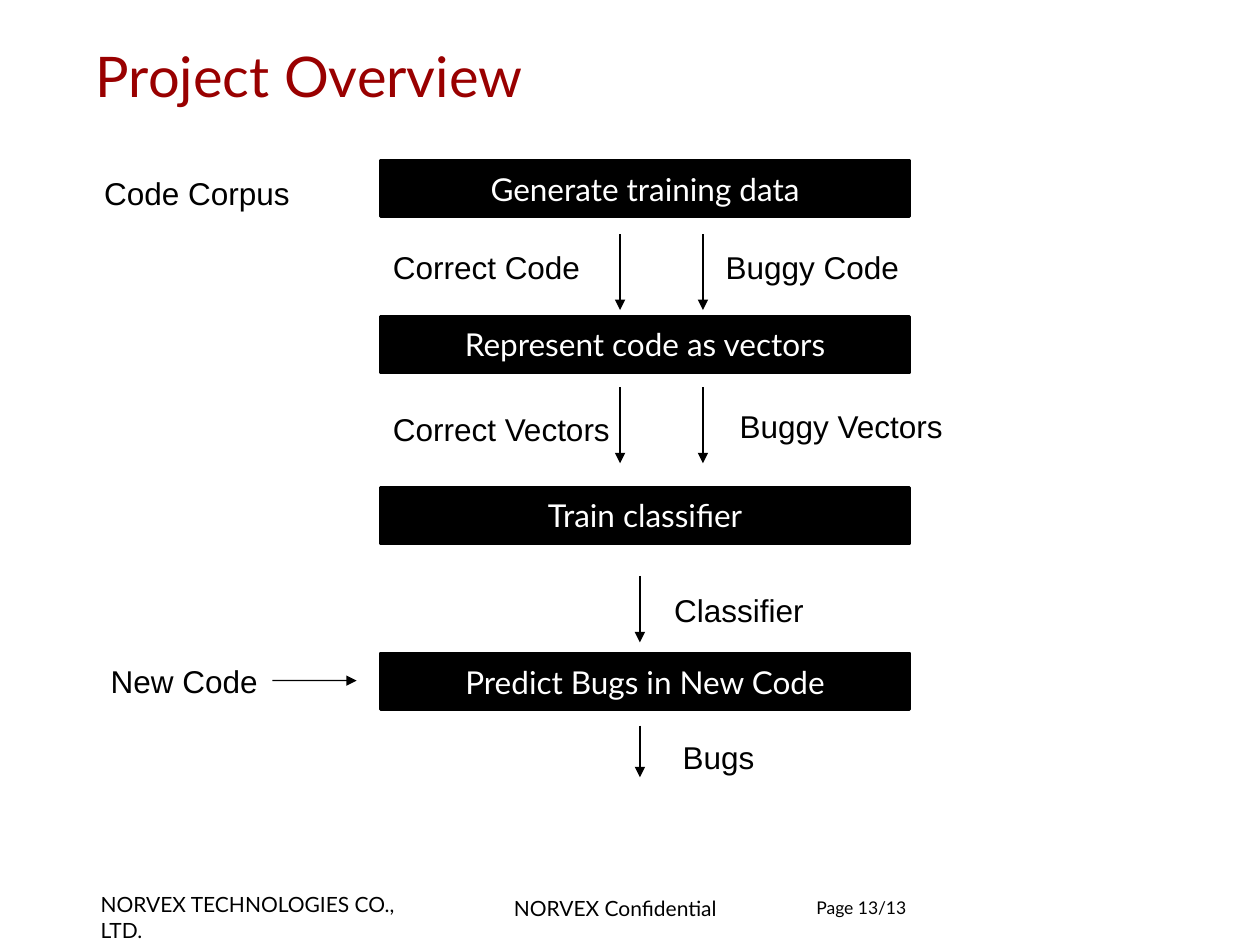
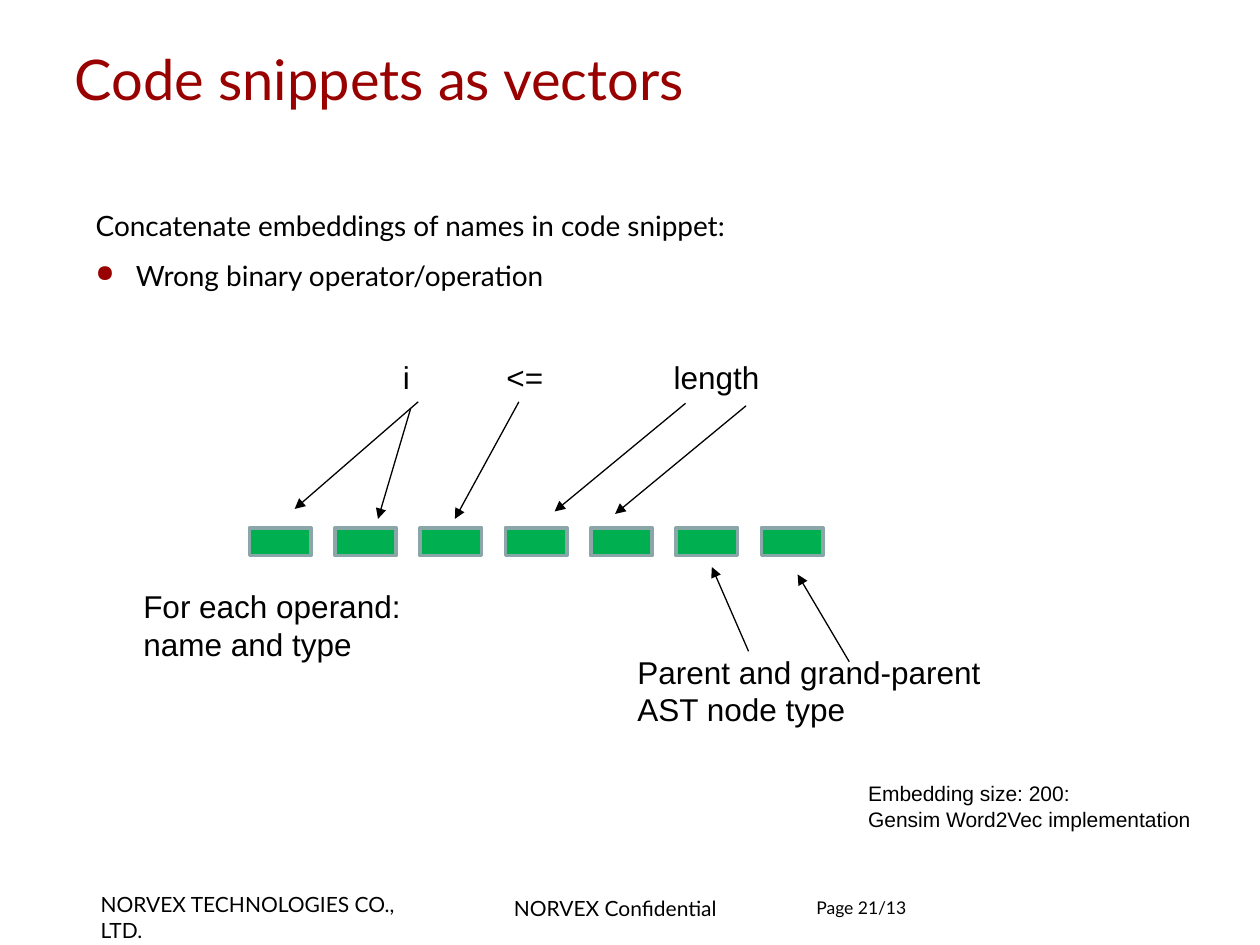
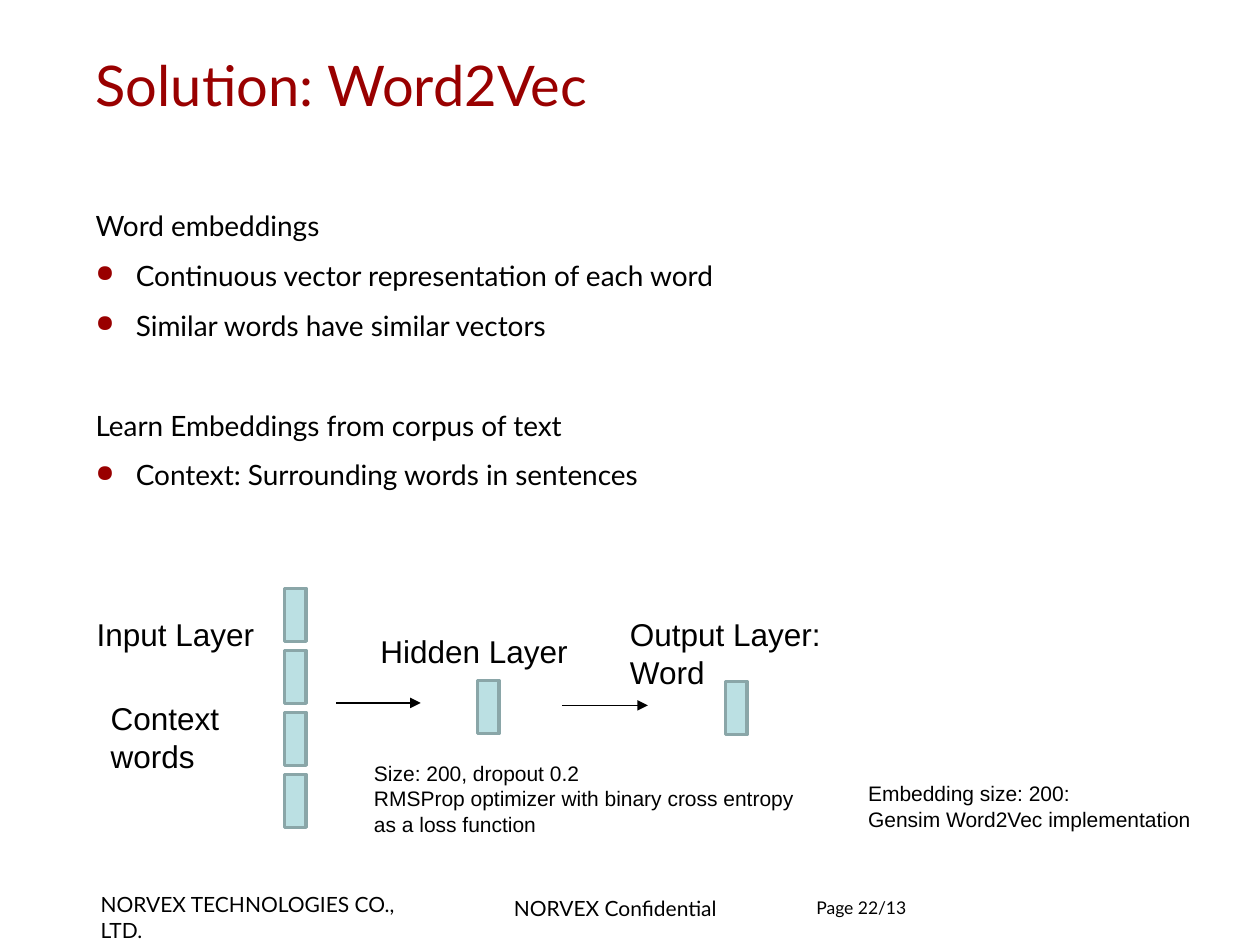
"""Builds three slides on finding bugs with code embeddings."""
from dataclasses import dataclass

from lxml.etree import SubElement
from pptx import Presentation
from pptx.dml.color import RGBColor
from pptx.enum.shapes import MSO_CONNECTOR as Connector, MSO_SHAPE as Preset
from pptx.enum.text import MSO_ANCHOR as Anchor, MSO_AUTO_SIZE as AutoSize, PP_ALIGN as Align
from pptx.oxml.ns import qn
from pptx.util import Cm, Pt

BLACK = RGBColor(0x00, 0x00, 0x00)
WHITE = RGBColor(0xFF, 0xFF, 0xFF)
DARK_RED = RGBColor(0x99, 0x00, 0x00)
GREEN = RGBColor(0x00, 0xB0, 0x50)
PALE_BLUE = RGBColor(0xBB, 0xE0, 0xE3)
GREY_BLUE = RGBColor(0x8A, 0xA6, 0xA8)
HEAD_FONT, LABEL_FONT = "Lato", "Arial"
BODY_SPACE = 3.2
BODY_PITCH = 28.5


@dataclass
class Label:
    """Free text, placed in centimetres."""
    text: str
    left: float
    top: float
    width: float
    size: int = 18


@dataclass
class Arrow:
    """Straight arrow, from start to end in centimetres."""
    x1: float
    y1: float
    x2: float
    y2: float


@dataclass
class Box:
    """Filled rectangle in centimetres, with optional text."""
    left: float
    top: float
    width: float
    height: float
    fill: RGBColor
    line: RGBColor
    text: str = ""


@dataclass
class BodyLine:
    """Line of body text."""
    text: str
    bullet: bool = True
    gap: bool = False


EMBEDDING_NOTE = Label("Embedding size: 200:\nGensim Word2Vec implementation", 17.25, 15.62, 7.06, 12)


def style(paragraph, size: int, color: RGBColor = BLACK, name: str = HEAD_FONT) -> None:
    """Set the font of a paragraph."""
    font = paragraph.font
    font.name, font.size, font.color.rgb = name, Pt(size), color


def set_margins(frame, side: float, edge: float) -> None:
    """Set the insets of a text frame in centimetres."""
    frame.margin_left = frame.margin_right = Cm(side)
    frame.margin_top = frame.margin_bottom = Cm(edge)


def add_frame(slide, left: float, top: float, width: float, height: float,
              side: float = 0.23, edge: float = 0.1):
    """Add a wrapping text box and return its frame."""
    frame = slide.shapes.add_textbox(Cm(left), Cm(top), Cm(width), Cm(height)).text_frame
    frame.word_wrap = True
    set_margins(frame, side, edge)
    return frame


def add_label(slide, label: Label):
    """Draw a label with one paragraph for each line."""
    lines = label.text.split("\n")
    height = 0.25 + len(lines) * label.size * 0.0425
    box = slide.shapes.add_textbox(Cm(label.left), Cm(label.top), Cm(label.width), Cm(height))
    box.text_frame.text = label.text
    for paragraph in box.text_frame.paragraphs:
        style(paragraph, label.size, name=LABEL_FONT)
    return box


def add_arrow(slide, arrow: Arrow):
    """Draw a thin black arrow."""
    connector = slide.shapes.add_connector(
        Connector.STRAIGHT, Cm(arrow.x1), Cm(arrow.y1), Cm(arrow.x2), Cm(arrow.y2))
    connector.line.color.rgb = BLACK
    connector.line.width = Pt(0.75)
    SubElement(connector.line._get_or_add_ln(), qn("a:tailEnd"), type="triangle")
    SubElement(connector.element.spPr, qn("a:effectLst"))
    return connector


def add_box(slide, box: Box) -> None:
    """Draw a filled rectangle with its text."""
    shape = slide.shapes.add_shape(
        Preset.RECTANGLE, Cm(box.left), Cm(box.top), Cm(box.width), Cm(box.height))
    shape.shadow.inherit = False
    shape.fill.solid()
    shape.fill.fore_color.rgb = box.fill
    shape.line.color.rgb = box.line
    shape.line.width = Pt(2)
    if box.text:
        shape.text_frame.text = box.text
        shape.text_frame.vertical_anchor = Anchor.MIDDLE
        paragraph = shape.text_frame.paragraphs[0]
        paragraph.alignment = Align.CENTER
        style(paragraph, 18, WHITE)


def add_bullet(paragraph) -> None:
    """Give a paragraph a red bullet and a hanging indent."""
    properties = paragraph._p.get_or_add_pPr()
    properties.set("marL", str(Cm(0.81)))
    properties.set("indent", str(-Cm(0.81)))
    color = SubElement(properties, qn("a:buClr"))
    SubElement(color, qn("a:srgbClr"), val=str(DARK_RED))
    SubElement(properties, qn("a:buSzPct"), val="85000")
    SubElement(properties, qn("a:buChar"), char="●")


def add_body(slide, lines: list[BodyLine]) -> None:
    """Write the body text of a slide."""
    frame = add_frame(slide, 1.7, 4.01, 22.71, 12.7)
    for index, line in enumerate(lines):
        paragraph = frame.add_paragraph() if index else frame.paragraphs[0]
        paragraph.text = line.text
        paragraph.alignment = Align.JUSTIFY
        paragraph.line_spacing = 1.15
        paragraph.space_before = Pt(BODY_SPACE + BODY_PITCH * line.gap)
        paragraph.space_after = Pt(BODY_SPACE)
        if line.bullet:
            add_bullet(paragraph)
        style(paragraph, 16)


def add_footer(slide, layout) -> None:
    """Write the company lines and move them to the layout."""
    for text, left, top, width in (("NORVEX TECHNOLOGIES CO., LTD.", 1.8, 17.88, 6.9),
                                   ("NORVEX Confidential", 10.13, 17.96, 5.66)):
        frame = add_frame(slide, left, top, width, 0.74)
        frame.text = text
        style(frame.paragraphs[0], 12)
        layout.shapes.element.append(slide.shapes[-1].element)


def start_slide(deck, title: str, page: str, left: float, top: float, height: float):
    """Add a slide with its title and page number."""
    slide = deck.slides.add_slide(deck.slide_layouts[5])
    heading = slide.shapes.title
    heading.left, heading.top, heading.width, heading.height = Cm(left), Cm(top), Cm(22.71), Cm(height)
    frame = heading.text_frame
    frame.text = title
    frame.auto_size = AutoSize.NONE
    frame.vertical_anchor = Anchor.MIDDLE
    set_margins(frame, 0.23, 0.1)
    frame.paragraphs[0].alignment = Align.LEFT
    style(frame.paragraphs[0], 32, DARK_RED)
    page_frame = add_frame(slide, 16.46, 18.14, 2.95, 0.5, 0, 0)
    page_frame.text = page
    page_frame.paragraphs[0].line_spacing = 0.85
    style(page_frame.paragraphs[0], 10)
    return slide


def build_overview(deck):
    """Slide with the four steps of the project."""
    slide = start_slide(deck, "Project Overview", "Page 13/13", 1.7, 0.64, 1.75)
    for text, top in (("Generate training data", 3.25), ("Represent code as vectors", 6.38),
                      ("Train classifier", 9.83), ("Predict Bugs in New Code", 13.18)):
        add_box(slide, Box(7.67, top, 10.67, 1.12, BLACK, BLACK, text))
    for label in (Label("Code Corpus", 1.85, 3.38, 4.29),
                  Label("Correct Code", 7.67, 4.88, 4.32),
                  Label("Buggy Code", 14.38, 4.88, 4.04),
                  Label("Correct Vectors", 7.67, 8.13, 4.93),
                  Label("Buggy Vectors", 14.66, 8.08, 4.65),
                  Label("Classifier", 13.34, 11.79, 3.15),
                  Label("Bugs", 13.51, 14.76, 1.98)):
        add_label(slide, label)
    for x in (12.5, 14.17):
        for top in (4.72, 7.81):
            add_arrow(slide, Arrow(x, top, x, top + 1.53))
    for top, bottom in ((11.61, 12.95), (14.63, 15.67)):
        add_arrow(slide, Arrow(12.9, top, 12.9, bottom))
    new_code = add_label(slide, Label("New Code", 1.98, 13.21, 3.51))
    new_code_arrow = add_arrow(slide, Arrow(5.49, 13.72, 7.19, 13.72))
    new_code_arrow.begin_connect(new_code, 3)
    return slide


def build_snippets(deck) -> None:
    """Slide with the vector of a binary operation."""
    slide = start_slide(deck, "Code snippets as vectors", "Page 21/13", 1.27, 0.56, 2.01)
    add_body(slide, [BodyLine("Concatenate embeddings of names in code snippet:", bullet=False),
                     BodyLine("Wrong binary operator/operation")])
    for index in range(7):
        add_box(slide, Box(5.03 + 1.72 * index, 10.64, 1.24, 0.56, GREEN, GREY_BLUE))
    for label in (Label("i", 7.87, 7.09, 0.65),
                  Label("<=", 9.96, 7.09, 1.25),
                  Label("length", 13.33, 7.09, 2.25),
                  Label("For each operand:\nname and type", 2.64, 11.71, 5.74),
                  Label("Parent and grand-parent\nAST node type", 12.6, 13.03, 7.49),
                  EMBEDDING_NOTE):
        add_label(slide, label)
    for arrow in (Arrow(8.43, 8.1, 5.94, 10.26), Arrow(8.28, 8.23, 7.62, 10.46),
                  Arrow(10.46, 8.1, 9.17, 10.46), Arrow(13.82, 8.13, 11.18, 10.31),
                  Arrow(15.04, 8.18, 12.4, 10.36), Arrow(15.09, 13.13, 14.35, 11.43),
                  Arrow(17.12, 13.34, 16.08, 11.58)):
        add_arrow(slide, arrow)


def build_word2vec(deck) -> None:
    """Slide with the layers of the embedding network."""
    slide = start_slide(deck, "Solution: Word2Vec", "Page 22/13", 1.7, 0.69, 2.01)
    add_body(slide, [BodyLine("Word embeddings", bullet=False),
                     BodyLine("Continuous vector representation of each word"),
                     BodyLine("Similar words have similar vectors"),
                     BodyLine("Learn Embeddings from corpus of text", bullet=False, gap=True),
                     BodyLine("Context: Surrounding words in sentences")])
    input_cells = [(5.74, 11.86 + 1.25 * index) for index in range(4)]
    for left, top in input_cells + [(9.63, 13.72), (14.63, 13.74)]:
        add_box(slide, Box(left, top, 0.43, 1.07, PALE_BLUE, GREY_BLUE))
    for label in (Label("Input Layer", 1.7, 12.27, 3.71),
                  Label("Context\nwords", 1.98, 13.97, 2.72),
                  Label("Hidden Layer", 7.42, 12.62, 4.32),
                  Label("Output Layer:\nWord", 12.45, 12.27, 4.39),
                  Label("Size: 200, dropout 0.2\nRMSProp optimizer with binary cross entropy\n"
                        "as a loss function", 7.29, 15.21, 9.04, 12),
                  EMBEDDING_NOTE):
        add_label(slide, label)
    for arrow in (Arrow(6.78, 14.17, 8.48, 14.17), Arrow(11.33, 14.22, 13.06, 14.22)):
        add_arrow(slide, arrow)


def main() -> None:
    """Build and save the slides."""
    deck = Presentation()
    deck.slide_width, deck.slide_height = Cm(25.4), Cm(19.05)
    overview = build_overview(deck)
    add_footer(overview, overview.slide_layout)
    build_snippets(deck)
    build_word2vec(deck)
    deck.save("out.pptx")


if __name__ == "__main__":
    main()
